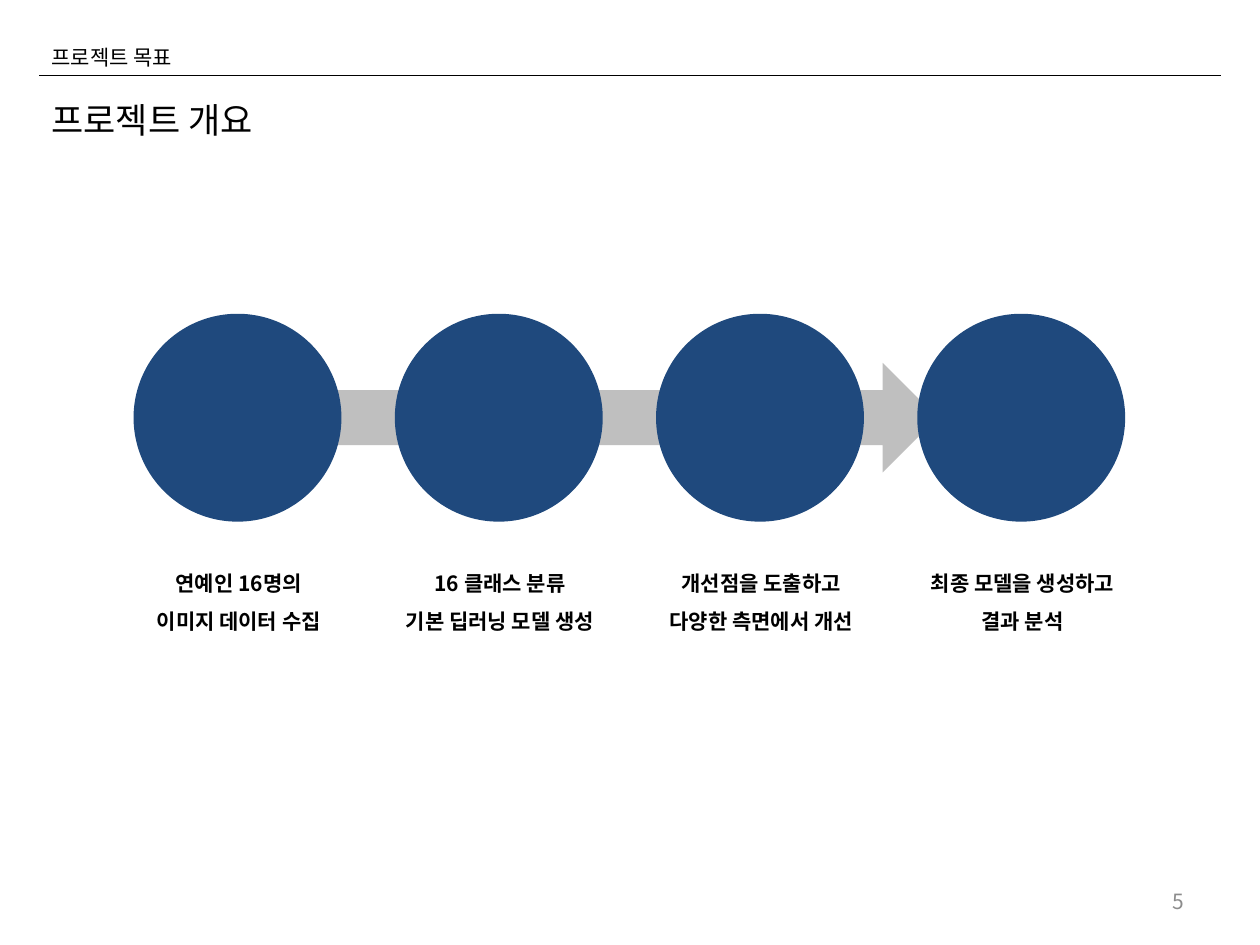
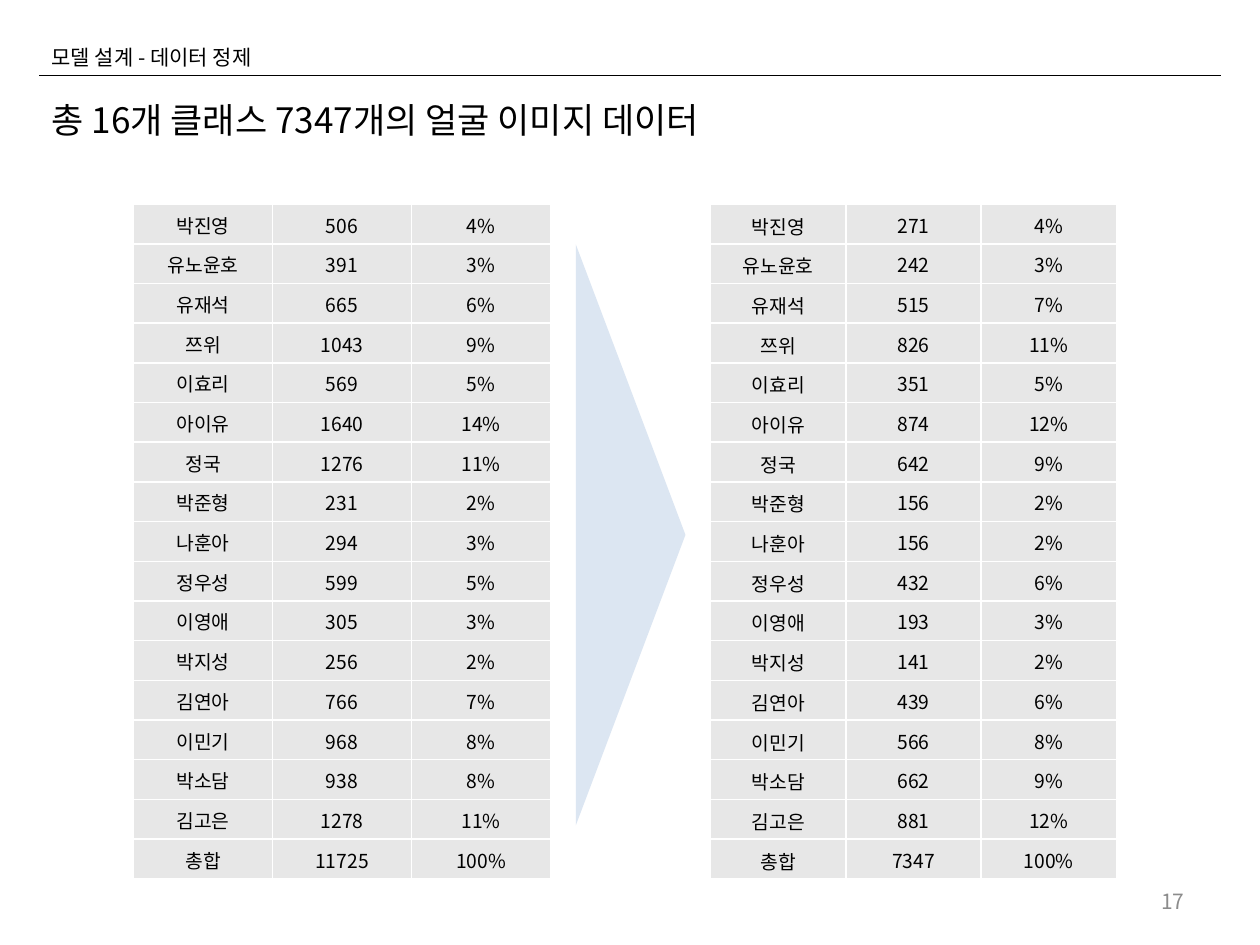
from lxml import etree
from pptx import Presentation
from pptx import util as u
from pptx.dml.color import RGBColor
from pptx.enum import shapes, text
from pptx.oxml.ns import qn

FONT = "Noto Sans CJK KR"
BLACK, WHITE, NAVY = "000000", "FFFFFF", "1F497D"
ARROW_GRAY, PALE_BLUE = "BFBFBF", "DCE6F2"
CELL_GRAY, NUMBER_GRAY = "E7E7E7", "8C8C8C"
CENTER, RIGHT = text.PP_ALIGN.CENTER, text.PP_ALIGN.RIGHT
MIDDLE, TOP = text.MSO_ANCHOR.MIDDLE, text.MSO_ANCHOR.TOP
BORDER_SIDES = ("a:lnL", "a:lnR", "a:lnT", "a:lnB")

STEP_CAPTIONS = [
    ["연예인 16명의", "이미지 데이터 수집"],
    ["16 클래스 분류", "기본 딥러닝 모델 생성"],
    ["개선점을 도출하고", "다양한 측면에서 개선"],
    ["최종 모델을 생성하고", "결과 분석"],
]
FIRST_STEP_LEFT, LAST_STEP_LEFT = 1.06, 7.28
STEP_PITCH = (LAST_STEP_LEFT - FIRST_STEP_LEFT) / (len(STEP_CAPTIONS) - 1)

NAMES = ["박진영", "유노윤호", "유재석", "쯔위", "이효리", "아이유", "정국", "박준형",
         "나훈아", "정우성", "이영애", "박지성", "김연아", "이민기", "박소담", "김고은"]
COUNTS_BEFORE = [506, 391, 665, 1043, 569, 1640, 1276, 231,
                 294, 599, 305, 256, 766, 968, 938, 1278]
COUNTS_AFTER = [271, 242, 515, 826, 351, 874, 642, 156,
                156, 432, 193, 141, 439, 566, 662, 881]
TABLE_TOP, TABLE_HEIGHT = 1.62, 5.36
TIGHT = {"margin_left": 0.01, "margin_right": 0.01, "margin_top": 0.01, "margin_bottom": 0}
LOWERED = {"margin_left": 0.07, "margin_right": 0.07, "margin_top": 0.06, "margin_bottom": 0.03}


def color(value):
    return RGBColor.from_string(value)


def inches(*lengths):
    return [u.Inches(length) for length in lengths]


def apply(target, values):
    for name, value in values.items():
        setattr(target, name, value)


def write(frame, lines, size, ink=BLACK, bold=False, **paragraph_format):
    for index, line in enumerate(lines):
        paragraph = frame.paragraphs[0] if index == 0 else frame.add_paragraph()
        apply(paragraph, paragraph_format)
        run = paragraph.add_run()
        run.text = line
        apply(run.font, {"name": FONT, "size": u.Pt(size), "bold": bold})
        run.font.color.rgb = color(ink)
        etree.SubElement(run.font._element, qn("a:ea"), typeface=FONT)


def add_text(slide, box, lines, size, anchor=TOP, **options):
    frame = slide.shapes.add_textbox(*inches(*box)).text_frame
    apply(frame, {"word_wrap": True, "vertical_anchor": anchor})
    write(frame, lines, size, **options)


def add_shape(slide, kind, box, fill, rotation=0):
    shape = slide.shapes.add_shape(kind, *inches(*box))
    shape.shadow.inherit = False
    shape.rotation = rotation
    shape.fill.solid()
    shape.fill.fore_color.rgb = color(fill)
    shape.line.fill.background()


def add_rule(slide):
    rule = slide.shapes.add_connector(shapes.MSO_CONNECTOR.STRAIGHT,
                                      *inches(0.31, 0.6, 9.69, 0.6))
    rule.line.color.rgb = color(BLACK)
    rule.line.width = u.Pt(0.75)
    etree.SubElement(rule._element.spPr, qn("a:effectLst"))


def add_page(presentation, section, title, number):
    slide = presentation.slides.add_slide(presentation.slide_layouts[6])
    add_text(slide, (0.31, 0.69, 8.41, 0.46), [title], 20, line_spacing=1.14)
    add_text(slide, (0.31, 0.28, 2.42, 0.31), [section], 12, line_spacing=1.14)
    add_rule(slide)
    add_text(slide, (7.17, 6.95, 2.33, 0.4), [str(number)], 12, MIDDLE,
             ink=NUMBER_GRAY, alignment=RIGHT)
    return slide


def add_step(slide, index, caption):
    left = FIRST_STEP_LEFT + index * STEP_PITCH
    add_shape(slide, shapes.MSO_SHAPE.OVAL, (left, 2.49, 1.65, 1.65), NAVY)
    add_text(slide, (left - 0.34, 4.38, 2.35, 0.67), caption, 12,
             bold=True, alignment=CENTER, line_spacing=1.5)


def style_cell(cell, content, anchor, margins):
    apply(cell, {name: u.Inches(value) for name, value in margins.items()})
    cell.vertical_anchor = anchor
    properties = cell._tc.get_or_add_tcPr()
    for side in BORDER_SIDES:
        border = etree.SubElement(properties, qn(side), w=str(u.Pt(1)))
        fill = etree.SubElement(border, qn("a:solidFill"))
        etree.SubElement(fill, qn("a:srgbClr"), val=WHITE)
    cell.fill.solid()
    cell.fill.fore_color.rgb = color(CELL_GRAY)
    write(cell.text_frame, [content], 11, alignment=CENTER)


def add_count_table(slide, left, width, counts, name_anchor, name_margins):
    total = sum(counts)
    entries = list(zip(NAMES, counts)) + [("총합", total)]
    table = slide.shapes.add_table(len(entries), 3,
                                   *inches(left, TABLE_TOP, width, TABLE_HEIGHT)).table
    apply(table, {"first_row": False, "horz_banding": False})
    for row, (name, count) in enumerate(entries):
        style_cell(table.cell(row, 0), name, name_anchor, name_margins)
        style_cell(table.cell(row, 1), str(count), MIDDLE, TIGHT)
        style_cell(table.cell(row, 2), f"{count / total:.0%}", MIDDLE, TIGHT)


def build_overview(presentation):
    slide = add_page(presentation, "프로젝트 목표", "프로젝트 개요", 5)
    add_shape(slide, shapes.MSO_SHAPE.RIGHT_ARROW, (1.77, 2.88, 5.67, 0.87), ARROW_GRAY)
    for index, caption in enumerate(STEP_CAPTIONS):
        add_step(slide, index, caption)


def build_data_cleaning(presentation):
    slide = add_page(presentation, "모델 설계 - 데이터 정제",
                     "총 16개 클래스 7347개의 얼굴 이미지 데이터", 17)
    add_count_table(slide, 5.64, 3.22, COUNTS_AFTER, TOP, LOWERED)
    add_count_table(slide, 1.06, 3.31, COUNTS_BEFORE, MIDDLE, TIGHT)
    add_shape(slide, shapes.MSO_SHAPE.ISOSCELES_TRIANGLE, (2.7, 3.81, 4.61, 0.87),
              PALE_BLUE, rotation=90)


def main():
    presentation = Presentation()
    apply(presentation, {"slide_width": u.Inches(10), "slide_height": u.Inches(7.5)})
    build_overview(presentation)
    build_data_cleaning(presentation)
    presentation.save("out.pptx")


if __name__ == "__main__":
    main()
